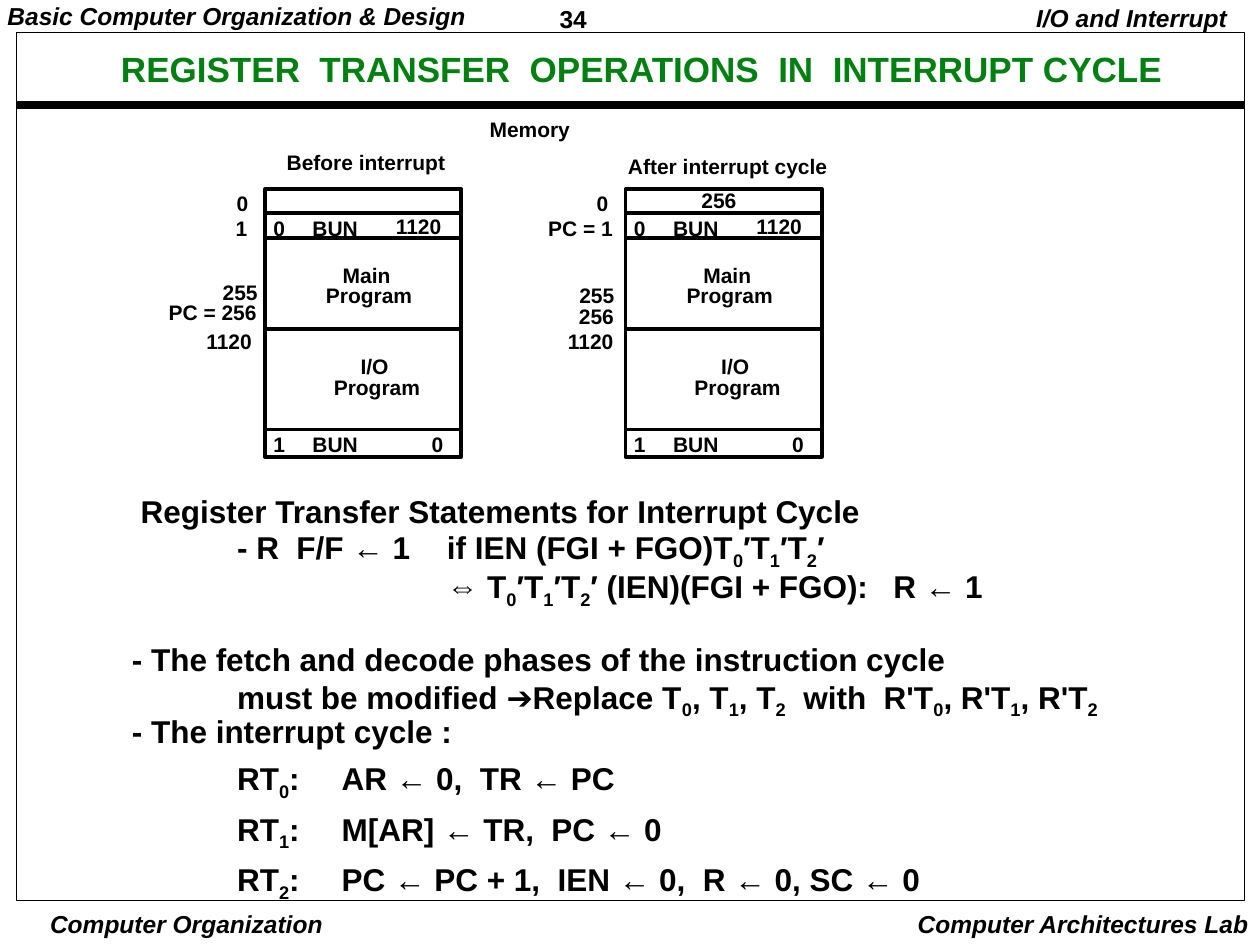
from lxml.etree import SubElement
from pptx import Presentation
from pptx.dml.color import RGBColor
from pptx.enum.shapes import MSO_CONNECTOR, MSO_SHAPE
from pptx.enum.text import MSO_ANCHOR, PP_ALIGN
from pptx.oxml.ns import qn
from pptx.util import Cm, Pt

BLACK = RGBColor(0, 0, 0)
GREEN = RGBColor(0x00, 0x80, 0x11)
LEFT, MID, RIGHT = PP_ALIGN.LEFT, PP_ALIGN.CENTER, PP_ALIGN.RIGHT
THIN, WIDE = (0.18, 0.08), (0.25, 0.13)  # side and top insets, cm

TITLE = "REGISTER  TRANSFER  OPERATIONS  IN  INTERRUPT CYCLE"

# text, left, top, width, height, alignment, italic, line spacing
MARGINS = [
    ("34", 11.1, 0, 2.74, 0.74, LEFT, False, 1.01),
    ("Basic Computer Organization & Design", -0.03, 0, 10.2, 0.69, LEFT, True, 0.9),
    ("I/O and Interrupt", 20.12, 0.05, 4.8, 0.69, RIGHT, True, 0.9),
    ("Computer Organization", 0.46, 18.24, 6.6, 0.76, MID, True, 1),
    ("Computer Architectures Lab", 17.85, 18.24, 7.5, 0.76, RIGHT, True, 1),
]

# Memory maps: left edge of each, shared outline and dividers
MAPS = [5.34, 12.61]
TOP, WIDTH, HEIGHT = 3.81, 3.96, 5.4
CUTS = [4.29, 4.8, 6.63, 8.66]

# text, left from the map's edge, top, width
CELLS = [
    ("0", -0.08, 4.27, 0.74), ("BUN", 0.71, 4.27, 1.42), ("1120", 2.39, 4.24, 1.45),
    ("Main", 1.32, 5.23, 1.47), ("Program", 0.98, 5.63, 2.24),
    ("I/O", 1.68, 7.06, 1.07), ("Program", 1.14, 7.47, 2.24),
    ("1", -0.08, 8.63, 0.74), ("BUN", 0.71, 8.63, 1.42), ("0", 3.11, 8.63, 0.74),
]

# text, left, top, width
LABELS = [
    ("Memory", 9.62, 2.28, 2.13),
    ("Before interrupt", 5.53, 2.94, 3.8),
    ("0", 4.52, 3.76, 0.74), ("1", 4.5, 4.27, 0.74), ("255", 4.24, 5.56, 1.22),
    ("PC = 256", 3.15, 5.97, 2.4), ("1120", 3.91, 6.55, 1.45),
    ("After interrupt cycle", 12.41, 3.02, 4.7),
    ("0", 11.78, 3.76, 0.74), ("PC = 1", 10.8, 4.27, 2.1), ("255", 11.43, 5.63, 1.22),
    ("256", 11.42, 6.04, 1.22), ("1120", 11.2, 6.55, 1.45),
    ("256", 13.89, 3.71, 1.22),
]

# text (an underscore lowers the next character), line spacing, points before
BODY = [
    (" Register Transfer Statements for Interrupt Cycle", 0.85, 0),
    ("\t- R  F/F ← 1\tif IEN (FGI + FGO)T_0′T_1′T_2′", 0.85, 0),
    ("\t\t\t⇔ T_0′T_1′T_2′ (IEN)(FGI + FGO):\tR ← 1", 0.96, 0),
    ("- The fetch and decode phases of the instruction cycle", 0.9, 20.7),
    ("\tmust be modified ➔Replace T_0, T_1, T_2  with  R'T_0, R'T_1, R'T_2", 0.9, 0),
    ("- The interrupt cycle :", 0.9, 0),
    ("\tRT_0:\tAR ← 0,  TR ← PC", 1, 4.5),
    ("\tRT_1:\tM[AR] ← TR,  PC ← 0", 1, 4.5),
    ("\tRT_2:\tPC ← PC + 1,  IEN ← 0,  R ← 0, SC ← 0", 1, 4.5),
]
STOPS = [2.12, 4.23, 6.35, 15.35]


def style(para, size, color=BLACK, italic=False):
    for run in para.runs:
        font = run.font
        font.name, font.size, font.bold, font.italic = "Arial", Pt(size), True, italic
        font.color.rgb = color


def inset(frame, pad):
    frame.margin_left = frame.margin_right = Cm(pad[0])
    frame.margin_top = frame.margin_bottom = Cm(pad[1])


def add_text(slide, text, x, y, w, h=0.71, size=12, align=LEFT, italic=False,
             space=0.9, pad=WIDE):
    frame = slide.shapes.add_textbox(Cm(x), Cm(y), Cm(w), Cm(h)).text_frame
    frame.word_wrap = False
    inset(frame, pad)
    frame.text = text
    para = frame.paragraphs[0]
    para.alignment, para.line_spacing = align, space
    style(para, size, italic=italic)


def add_rect(slide, x, y, w, h, weight):
    rect = slide.shapes.add_shape(MSO_SHAPE.RECTANGLE, Cm(x), Cm(y), Cm(w), Cm(h))
    rect.shadow.inherit = False
    rect.fill.background()
    rect.line.color.rgb, rect.line.width = BLACK, Pt(weight)


def add_rule(slide, x, y, w, weight):
    rule = slide.shapes.add_connector(
        MSO_CONNECTOR.STRAIGHT, Cm(x), Cm(y), Cm(x + w), Cm(y))
    rule.line.color.rgb, rule.line.width = BLACK, Pt(weight)
    SubElement(rule._element.spPr, qn("a:effectLst"))


def add_title(slide):
    title = slide.shapes.title
    title.left, title.top, title.width, title.height = Cm(1.32), Cm(0.74), Cm(23.24), Cm(1.37)
    frame = title.text_frame
    frame.text = TITLE
    frame.vertical_anchor = MSO_ANCHOR.MIDDLE
    inset(frame, THIN)
    para = frame.paragraphs[0]
    para.alignment, para.line_spacing = MID, 0.9
    style(para, 20, GREEN)


def add_body(slide):
    frame = slide.shapes.add_textbox(Cm(2.48), Cm(9.96), Cm(20.3), Cm(8.3)).text_frame
    frame.word_wrap = True
    inset(frame, THIN)
    for i, (text, space, before) in enumerate(BODY):
        para = frame.add_paragraph() if i else frame.paragraphs[0]
        para.line_spacing, para.space_before = space, Pt(before)
        tabs = SubElement(para._p.get_or_add_pPr(), qn("a:tabLst"))
        for stop in STOPS:
            SubElement(tabs, qn("a:tab"), pos=str(int(Cm(stop))), algn="l")
        head, *tail = text.split("_")
        para.text = head
        for part in tail:
            sub = para.add_run()
            sub.text = part[0]
            sub.font._element.set("baseline", "-25000")
            if part[1:]:
                para.add_run().text = part[1:]
        style(para, 18)


def main():
    deck = Presentation()
    deck.slide_width, deck.slide_height = Cm(25.4), Cm(19.05)
    slide = deck.slides.add_slide(deck.slide_layouts[5])

    add_rule(slide, 0.33, 2.11, 24.74, 4.5)
    add_rect(slide, 0.33, 0.66, 24.76, 17.5, 0.5)
    for text, x, y, w, h, align, italic, space in MARGINS:
        add_text(slide, text, x, y, w, h, 14, align, italic, space, THIN)
    add_title(slide)
    add_body(slide)

    for left in MAPS:
        add_rect(slide, left, TOP, WIDTH, HEIGHT, 2)
        for cut in CUTS:
            add_rule(slide, left, cut, WIDTH, 2)
        for text, x, y, w in CELLS:
            add_text(slide, text, left + x, y, w)
    for label in LABELS:
        add_text(slide, *label)
    deck.save("out.pptx")


if __name__ == "__main__":
    main()
